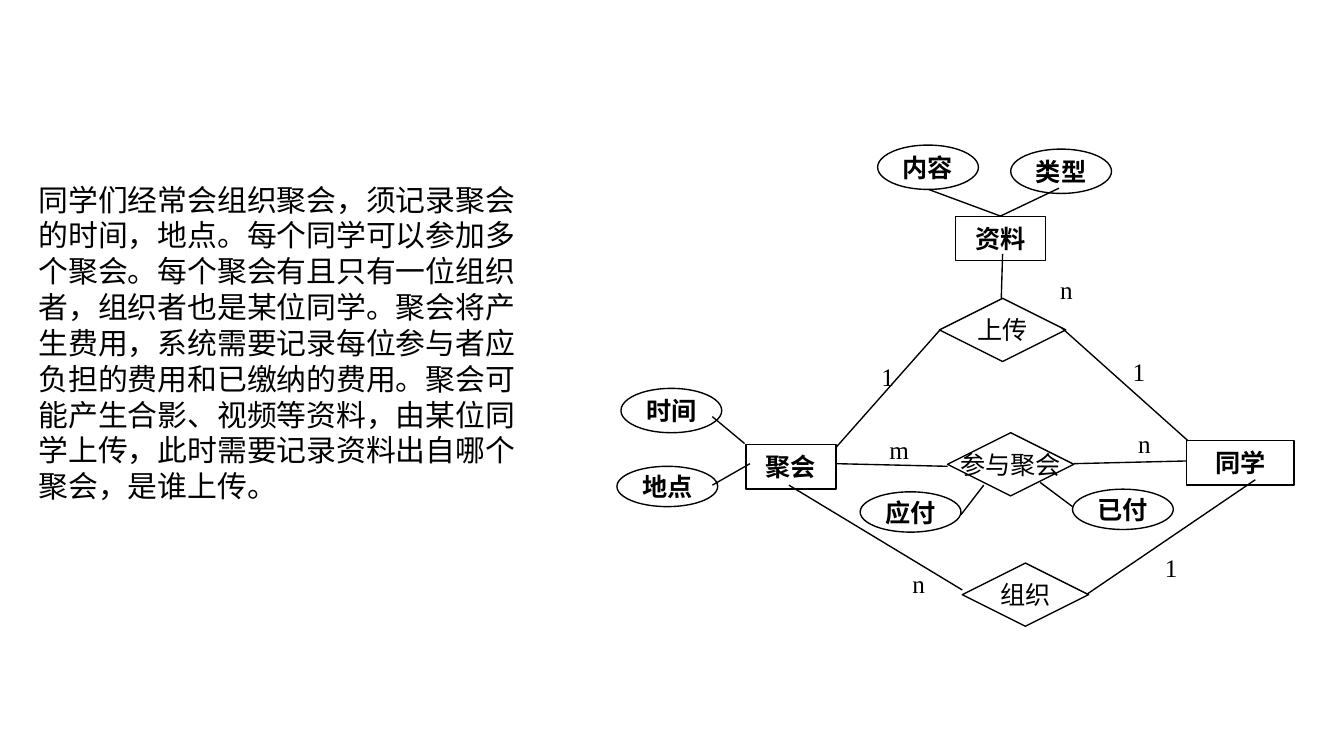
"""Build a slide with a class-party brief and its entity-relationship diagram."""
from lxml import etree
from pptx import Presentation
from pptx.dml.color import RGBColor
from pptx.enum.shapes import MSO_CONNECTOR, MSO_SHAPE
from pptx.enum.text import MSO_ANCHOR, PP_ALIGN
from pptx.oxml.ns import qn
from pptx.util import Inches, Pt

RECT, OVAL, DIAMOND = MSO_SHAPE.RECTANGLE, MSO_SHAPE.OVAL, MSO_SHAPE.DIAMOND
STRAIGHT = MSO_CONNECTOR.STRAIGHT
TOP, MIDDLE = MSO_ANCHOR.TOP, MSO_ANCHOR.MIDDLE
LEFT, CENTER = PP_ALIGN.LEFT, PP_ALIGN.CENTER

THEME = {
    "ink": RGBColor(0, 0, 0),
    "line": Pt(0.75),
    "node": {"name": "Times New Roman", "size": Pt(13.5)},
    "body": {"name": "Arial", "size": Pt(16)},
}

deck = Presentation()
deck.slide_width = Inches(10)
deck.slide_height = deck.slide_width * 9 // 16
CELL = deck.slide_width / 100
slide = deck.slides.add_slide(deck.slide_layouts[6])


def grid(*cells):
    """Turn columns and rows of the square grid into lengths."""
    return [round(cell * CELL) for cell in cells]


def write(shape, text, font, align=LEFT, anchor=TOP, wrap=True, bold=False):
    """Put formatted text in a shape."""
    frame = shape.text_frame
    frame.word_wrap, frame.vertical_anchor = wrap, anchor
    para = frame.paragraphs[0]
    para.text, para.alignment = text, align
    for name, value in {**THEME[font], "bold": bold}.items():
        setattr(para.font, name, value)
    para.font.color.rgb = THEME["ink"]


KINDS = {
    "entity": (RECT, {"bold": True}),
    "trait": (OVAL, {"bold": True, "anchor": MIDDLE, "wrap": False}),
    "link": (DIAMOND, {"anchor": MIDDLE, "wrap": False}),
}
NODES = [
    ("entity", "同学", 88.3, 32.8, 8, 3.3),
    ("entity", "聚会", 55.5, 33.1, 6.7, 3.3),
    ("entity", "资料", 71.1, 16.1, 6.7, 3.3),
    ("trait", "时间", 46.2, 28.9, 7.5, 3.3),
    ("trait", "地点", 45.9, 34.7, 7.5, 3),
    ("trait", "应付", 64, 36.6, 7.5, 3),
    ("trait", "已付", 79.8, 36.4, 7.5, 3),
    ("trait", "内容", 65.3, 10.8, 7.5, 3.3),
    ("trait", "类型", 75.2, 11.1, 7.5, 3.3),
    ("link", "参与聚会", 70.5, 32.2, 9.4, 4.7),
    ("link", "上传", 69.9, 22.2, 9.4, 4.7),
    ("link", "组织", 71.6, 41.9, 9.4, 4.7),
]
for kind, text, *box in NODES:
    form, style = KINDS[kind]
    node = slide.shapes.add_shape(form, *grid(*box))
    node.shadow.inherit = False
    node.fill.background()
    node.line.color.rgb, node.line.width = THEME["ink"], THEME["line"]
    write(node, text, "node", align=CENTER, **style)

EDGES = [
    (55.8, 34.5, 53, 36.1),
    (53, 31, 55.4, 33),
    (79.9, 34.5, 88.3, 34.3),
    (70.5, 34.7, 62.2, 34.5),
    (71.6, 43.9, 58.7, 36.1),
    (62.2, 33.3, 69.9, 24.6),
    (88.4, 32.8, 79, 24.4),
    (71.5, 38.3, 73.2, 36.1),
    (79.8, 37.7, 77.4, 35.9),
    (74.5, 22.2, 74.6, 18.9),
    (80.9, 44.2, 93.4, 35.7),
    (74.5, 16.1, 69.1, 14.1),
    (74.4, 16.1, 78.8, 14),
]
for ends in EDGES:
    edge = slide.shapes.add_connector(STRAIGHT, *grid(*ends))
    edge.line.color.rgb, edge.line.width = THEME["ink"], THEME["line"]
    etree.SubElement(edge._element.spPr, qn("a:effectLst"))

COUNTS = [
    ("n", 83.7, 31.4),
    ("m", 65.2, 31.8),
    ("1", 83.3, 26),
    ("n", 77.9, 19.9),
    ("1", 64.6, 26.4),
    ("1", 85.7, 40.6),
    ("n", 66.9, 41.8),
]
for text, col, row in COUNTS:
    write(slide.shapes.add_textbox(*grid(col, row, 2.3, 3.3)), text, "node")

BRIEF = (
    "同学们经常会组织聚会，须记录聚会的时间，地点。每个同学可以参加多个聚会。"
    "每个聚会有且只有一位组织者，组织者也是某位同学。聚会将产生费用，"
    "系统需要记录每位参与者应负担的费用和已缴纳的费用。"
    "聚会可能产生合影、视频等资料，由某位同学上传，"
    "此时需要记录资料出自哪个聚会，是谁上传。"
)
write(slide.shapes.add_textbox(*grid(1.9, 13, 38.3, 25.2)), BRIEF, "body")

deck.save("out.pptx")
